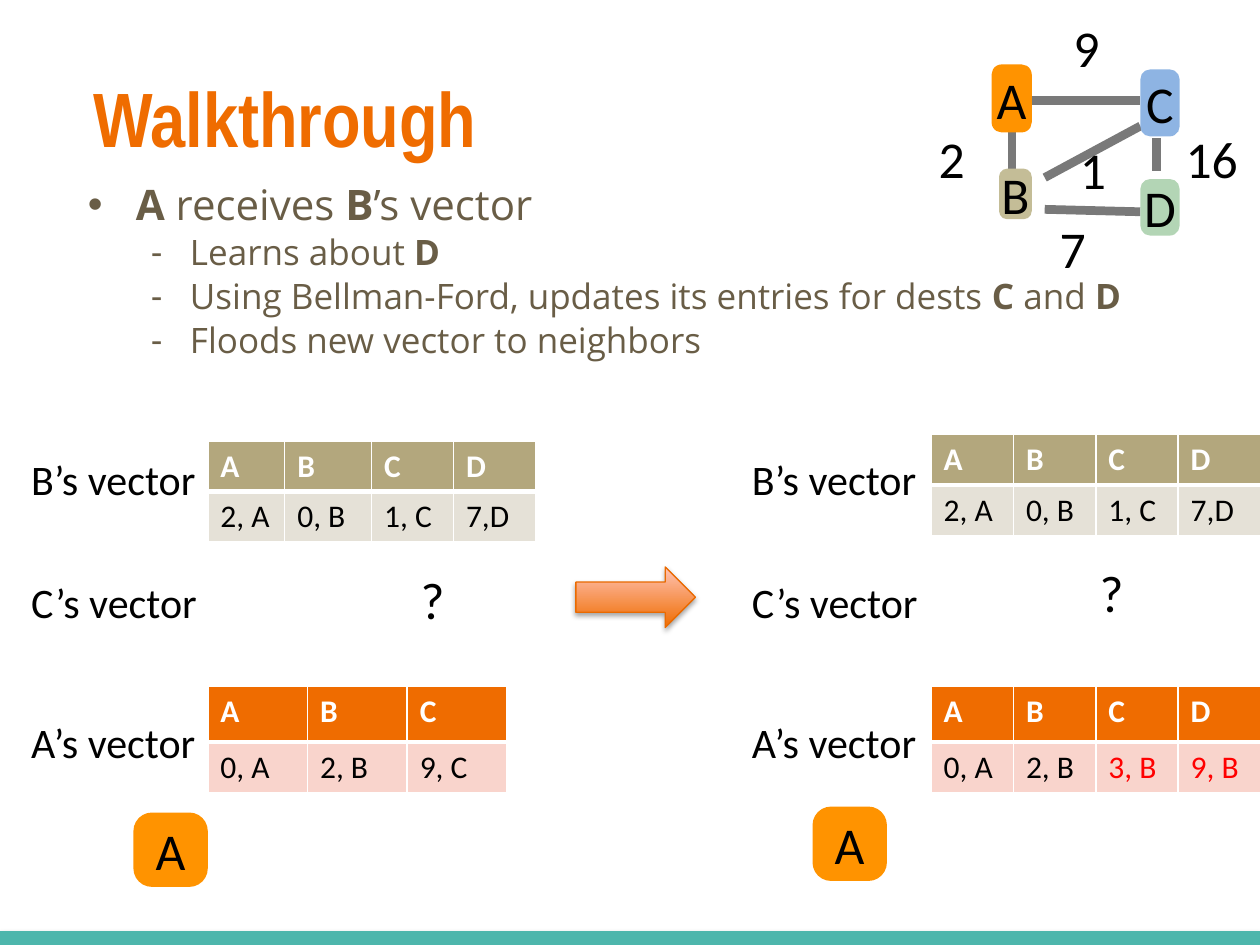
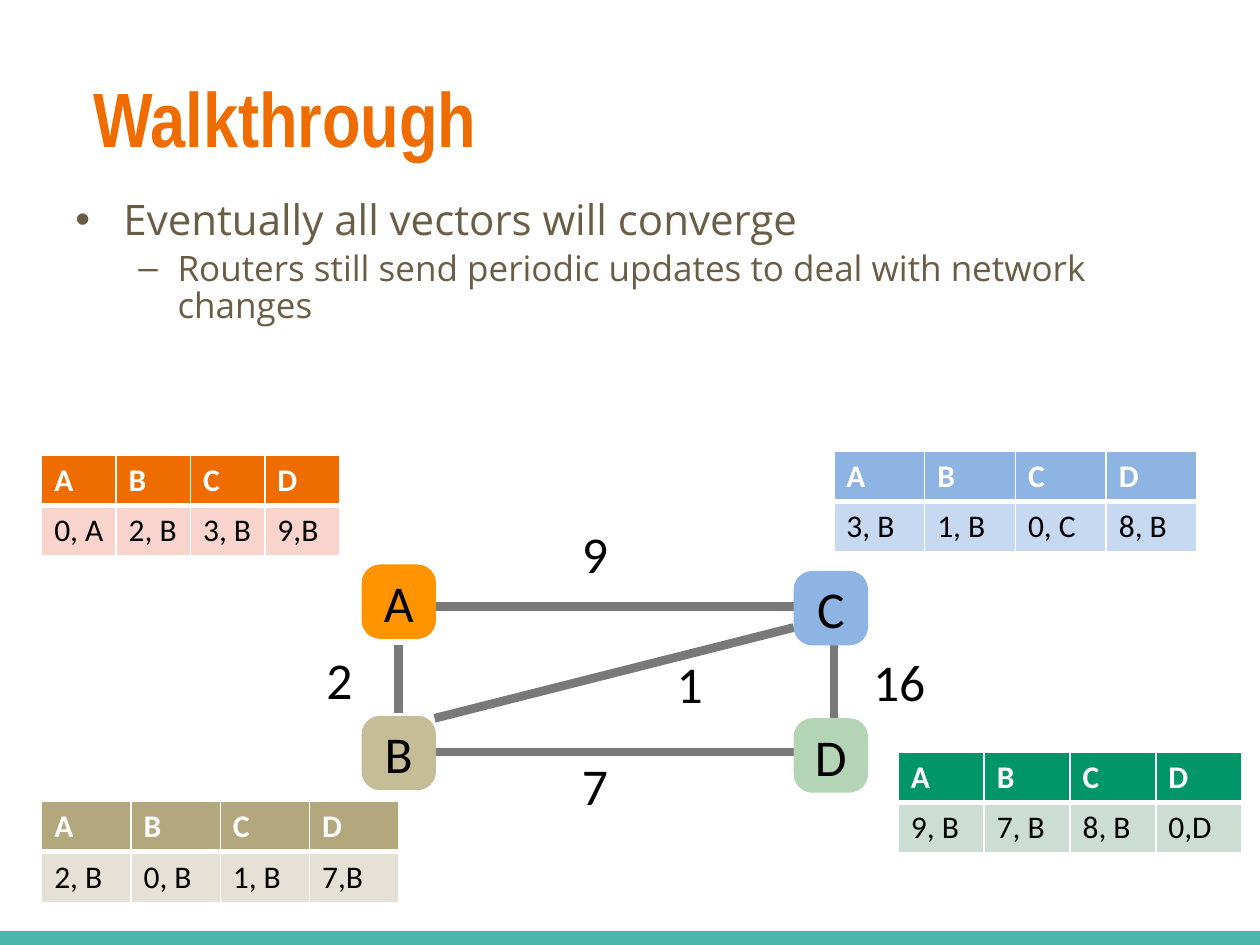
"""Build two walkthrough slides on distance-vector routing."""
from lxml.etree import SubElement
from pptx import Presentation
from pptx.dml.color import RGBColor
from pptx.enum.shapes import MSO_CONNECTOR, MSO_SHAPE
from pptx.enum.text import MSO_ANCHOR, PP_ALIGN
from pptx.oxml.ns import qn
from pptx.util import Cm, Pt

WHITE = RGBColor(0xFF, 0xFF, 0xFF)
BLACK = RGBColor(0x00, 0x00, 0x00)
RED = RGBColor(0xFF, 0x00, 0x00)
ORANGE = RGBColor(0xEF, 0x6C, 0x00)
ARROW_EDGE = RGBColor(0xEA, 0x6A, 0x00)
PEACH = RGBColor(0xFF, 0xC3, 0xB5)
BROWN = RGBColor(0x69, 0x5D, 0x46)
TEAL = RGBColor(0x4D, 0xB6, 0xAC)
GRAY = RGBColor(0x79, 0x79, 0x79)

NODE_COLORS = {
    "A": RGBColor(0xFF, 0x93, 0x00),
    "B": RGBColor(0xC4, 0xBD, 0x97),
    "C": RGBColor(0x8E, 0xB4, 0xE3),
    "D": RGBColor(0xB3, 0xD5, 0xB5),
}
VECTOR_COLORS = {
    "A": (ORANGE, RGBColor(0xF9, 0xD4, 0xCC)),
    "B": (RGBColor(0xB3, 0xA7, 0x7D), RGBColor(0xE5, 0xE1, 0xD7)),
    "C": (NODE_COLORS["C"], RGBColor(0xC6, 0xD9, 0xF1)),
    "D": (RGBColor(0x00, 0x96, 0x68), RGBColor(0xCC, 0xDD, 0xD4)),
}
TITLE = {"name": "Arial Narrow", "size": Pt(44), "bold": True}
BODY = {"name": "Open Sans", "size": Pt(24)}
DETAIL = {"name": "Open Sans", "size": Pt(20)}
SYMBOL = {"name": "Calibri", "size": Pt(29.5)}
CAPTION = {"name": "Calibri", "size": Pt(24)}
HEADER = {"name": "Calibri", "size": Pt(18), "bold": True}
ENTRY = {"name": "Calibri", "size": Pt(18), "bold": False}
ROW = 1.02


def apply(target, values):
    for name, value in values.items():
        setattr(target, name, value)


class Deck:
    def __init__(self):
        self.presentation = Presentation()
        apply(self.presentation, {"slide_width": Cm(25.4), "slide_height": Cm(19.05)})
        self.slide = None

    def start(self, title):
        self.slide = self.presentation.slides.add_slide(self.presentation.slide_layouts[6])
        band = self.line(0, 18.95, 25.4, 18.95, TEAL, 10)
        self.shadow(band, 38)
        self.text(title, 1.27, 0.76, 22.86, 3.18, TITLE, ORANGE, inset=0.61)

    def shadow(self, shape, opacity):
        properties = shape._element.spPr
        for effects in properties.findall(qn("a:effectLst")):
            properties.remove(effects)
        effects = SubElement(properties, qn("a:effectLst"))
        outer = SubElement(effects, qn("a:outerShdw"), blurRad=str(Pt(3.1)),
                           dist=str(Pt(1.7)), dir="5400000", rotWithShape="0")
        color = SubElement(outer, qn("a:srgbClr"), val=str(BLACK))
        SubElement(color, qn("a:alpha"), val=str(opacity * 1000))

    def add_runs(self, paragraph, text, style, color):
        for index, part in enumerate(text.split("*")):
            if part:
                run = paragraph.add_run()
                run.text = part
                apply(run.font, style)
                if index % 2:
                    run.font.bold = True
                run.font.color.rgb = color

    def frame(self, left, top, width, height, inset, anchor):
        box = self.slide.shapes.add_textbox(Cm(left), Cm(top), Cm(width), Cm(height))
        apply(box.text_frame, {
            "word_wrap": True, "vertical_anchor": anchor,
            "margin_left": Cm(inset), "margin_right": Cm(0.1),
            "margin_top": Cm(0.1), "margin_bottom": Cm(0.1),
        })
        return box.text_frame

    def text(self, text, left, top, width, height, style, color=BLACK, inset=0.1):
        frame = self.frame(left, top, width, height, inset, MSO_ANCHOR.MIDDLE)
        self.add_runs(frame.paragraphs[0], text, style, color)

    def bullets(self, left, top, point, details, dash):
        frame = self.frame(left, top, 22.86, 6, 0.25, MSO_ANCHOR.TOP)
        self.bullet(frame.paragraphs[0], point, "•", BODY, 0.97, 0.97)
        for detail in details:
            self.bullet(frame.add_paragraph(), detail, dash, DETAIL, 2.06, 0.79)

    def bullet(self, paragraph, text, mark, style, margin, hanging):
        apply(paragraph, {"line_spacing": 0.88, "space_before": int(style["size"] * 0.2)})
        properties = paragraph._p.get_or_add_pPr()
        properties.set("marL", str(Cm(margin)))
        properties.set("indent", str(-Cm(hanging)))
        SubElement(properties, qn("a:buFont"), typeface="Arial")
        SubElement(properties, qn("a:buChar"), char=mark)
        self.add_runs(paragraph, text, style, BROWN)

    def line(self, x1, y1, x2, y2, color=GRAY, width=5):
        line = self.slide.shapes.add_connector(
            MSO_CONNECTOR.STRAIGHT, Cm(x1), Cm(y1), Cm(x2), Cm(y2))
        line.line.color.rgb = color
        line.line.width = Pt(width)
        SubElement(line._element.spPr, qn("a:effectLst"))
        return line

    def node(self, router, left, top, width=1.5, height=1.5):
        node = self.slide.shapes.add_shape(
            MSO_SHAPE.ROUNDED_RECTANGLE, Cm(left), Cm(top), Cm(width), Cm(height))
        node.adjustments[0] = 0.25
        node.shadow.inherit = False
        node.fill.solid()
        node.fill.fore_color.rgb = NODE_COLORS[router]
        node.line.fill.background()
        apply(node.text_frame, {
            "margin_left": 0, "margin_right": 0, "margin_top": 0, "margin_bottom": 0,
            "word_wrap": False, "vertical_anchor": MSO_ANCHOR.MIDDLE,
        })
        paragraph = node.text_frame.paragraphs[0]
        paragraph.alignment = PP_ALIGN.CENTER
        self.add_runs(paragraph, router, SYMBOL, BLACK)

    def symbol(self, text, left, top):
        self.text(text, left, top, 0.28 + 0.52 * len(text), 1.47, SYMBOL)

    def network(self, links, nodes, costs):
        for link in links:
            self.line(*link)
        for node in nodes:
            self.node(*node)
        for cost in costs:
            self.symbol(*cost)

    def arrow(self, left, top, width, height):
        arrow = self.slide.shapes.add_shape(
            MSO_SHAPE.RIGHT_ARROW, Cm(left), Cm(top), Cm(width), Cm(height))
        arrow.fill.gradient()
        arrow.fill.gradient_angle = 90
        for stop, color, position in zip(arrow.fill.gradient_stops, (ORANGE, PEACH), (0, 1)):
            stop.color.rgb = color
            stop.position = position
        arrow.line.color.rgb = ARROW_EDGE
        arrow.line.width = Pt(0.75)
        self.shadow(arrow, 35)

    def cell(self, cell, text, style, color, fill, borders):
        self.add_runs(cell.text_frame.paragraphs[0], text, style, color)
        properties = cell._tc.get_or_add_tcPr()
        for side, width in zip("LRTB", borders):
            border = SubElement(properties, qn(f"a:ln{side}"), w=str(Pt(width)))
            solid = SubElement(border, qn("a:solidFill"))
            SubElement(solid, qn("a:srgbClr"), val=str(WHITE))
        cell.fill.solid()
        cell.fill.fore_color.rgb = fill

    def vector(self, router, left, top, widths, entries, header_height=ROW, changed=()):
        table = self.slide.shapes.add_table(
            2, len(entries), Cm(left), Cm(top), Cm(sum(widths)), Cm(header_height + ROW)).table
        table.horz_banding = False
        for row, height in zip(table.rows, (header_height, ROW)):
            row.height = Cm(height)
        header_fill, entry_fill = VECTOR_COLORS[router]
        for index, (width, destination, entry) in enumerate(zip(widths, "ABCD", entries)):
            table.columns[index].width = Cm(width)
            color = RED if index in changed else BLACK
            self.cell(table.cell(0, index), destination, HEADER, WHITE, header_fill, (1, 1, 1, 3))
            self.cell(table.cell(1, index), entry, ENTRY, color, entry_fill, (1, 1, 3, 1))


def build_update(deck):
    deck.start("Walkthrough")
    deck.bullets(1.52, 3.63, "*A* receives *B*’s vector", (
        "Learns about *D*",
        "Using Bellman-Ford, updates its entries for dests *C* and *D*",
        "Floods new vector to neighbors",
    ), "-")
    b_entries = ("2, A", "0, B", "1, C", "7,D")
    deck.vector("A", 4.19, 13.84, [2.01] * 3, ("0, A", "2, B", "9, C"), 1.12)
    deck.vector("B", 4.19, 8.89, (1.55, 1.75, 1.65, 1.65), b_entries)
    deck.vector("A", 18.77, 13.84, [1.66] * 4, ("0, A", "2, B", "3, B", "9, B"), 1.12, (2, 3))
    deck.vector("B", 18.77, 8.76, [1.66] * 4, b_entries)
    for left in (0.53, 15.06):
        for router, top in zip("BCA", (9.05, 11.52, 14.34)):
            deck.text(f"{router}’s vector", left, top, 4.9, 1.22, CAPTION)
    deck.symbol("?", 8.38, 11.33)
    deck.symbol("?", 22.07, 11.2)
    deck.node("A", 2.69, 16.38)
    deck.node("A", 16.38, 16.26)
    deck.arrow(11.61, 11.43, 2.41, 1.22)
    deck.network(
        links=((20.4, 2.67, 20.4, 3.45), (21.06, 4.22, 22.99, 4.27),
               (23.32, 2.79, 23.32, 3.45), (20.8, 2.03, 22.99, 2.03),
               (21.06, 3.58, 22.99, 2.54)),
        nodes=(("A", 19.99, 1.3, 0.81, 1.37), ("B", 20.14, 3.4, 0.66, 1.02),
               ("C", 22.99, 1.4, 0.79, 1.35), ("D", 22.99, 3.61, 0.79, 1.14)),
        costs=(("9", 21.54, 0.2), ("2", 18.82, 2.44), ("1", 21.67, 2.67),
               ("16", 23.8, 2.44), ("7", 21.26, 4.27)),
    )


def build_convergence(deck):
    deck.start("Walkthrough")
    deck.bullets(1.27, 3.94, "Eventually all vectors will converge", (
        "Routers still send periodic updates to deal with network changes",
    ), "–")
    deck.network(
        links=((8.03, 13, 8.03, 14.38), (8.74, 15.16, 16, 15.16),
               (16.81, 13, 16.81, 14.48), (8.76, 12.22, 16, 12.22),
               (8.76, 14.48, 16, 12.65)),
        nodes=(("A", 7.29, 11.38), ("B", 7.29, 14.43), ("C", 16, 11.51), ("D", 16, 14.48)),
        costs=(("9", 11.63, 10.41), ("2", 6.48, 12.95), ("1", 13.54, 13.03),
               ("16", 17.5, 13), ("7", 11.63, 15.09)),
    )
    for router, left, top, width, entries in (
        ("A", 0.84, 9.17, 1.5, ("0, A", "2, B", "3, B", "9,B")),
        ("C", 16.81, 9.09, 1.83, ("3, B", "1, B", "0, C", "8, B")),
        ("B", 0.84, 16.15, 1.8, ("2, B", "0, B", "1, B", "7,B")),
        ("D", 18.11, 15.16, 1.73, ("9, B", "7, B", "8, B", "0,D")),
    ):
        deck.vector(router, left, top, [width] * 4, entries)


deck = Deck()
build_update(deck)
build_convergence(deck)
deck.presentation.save("out.pptx")
